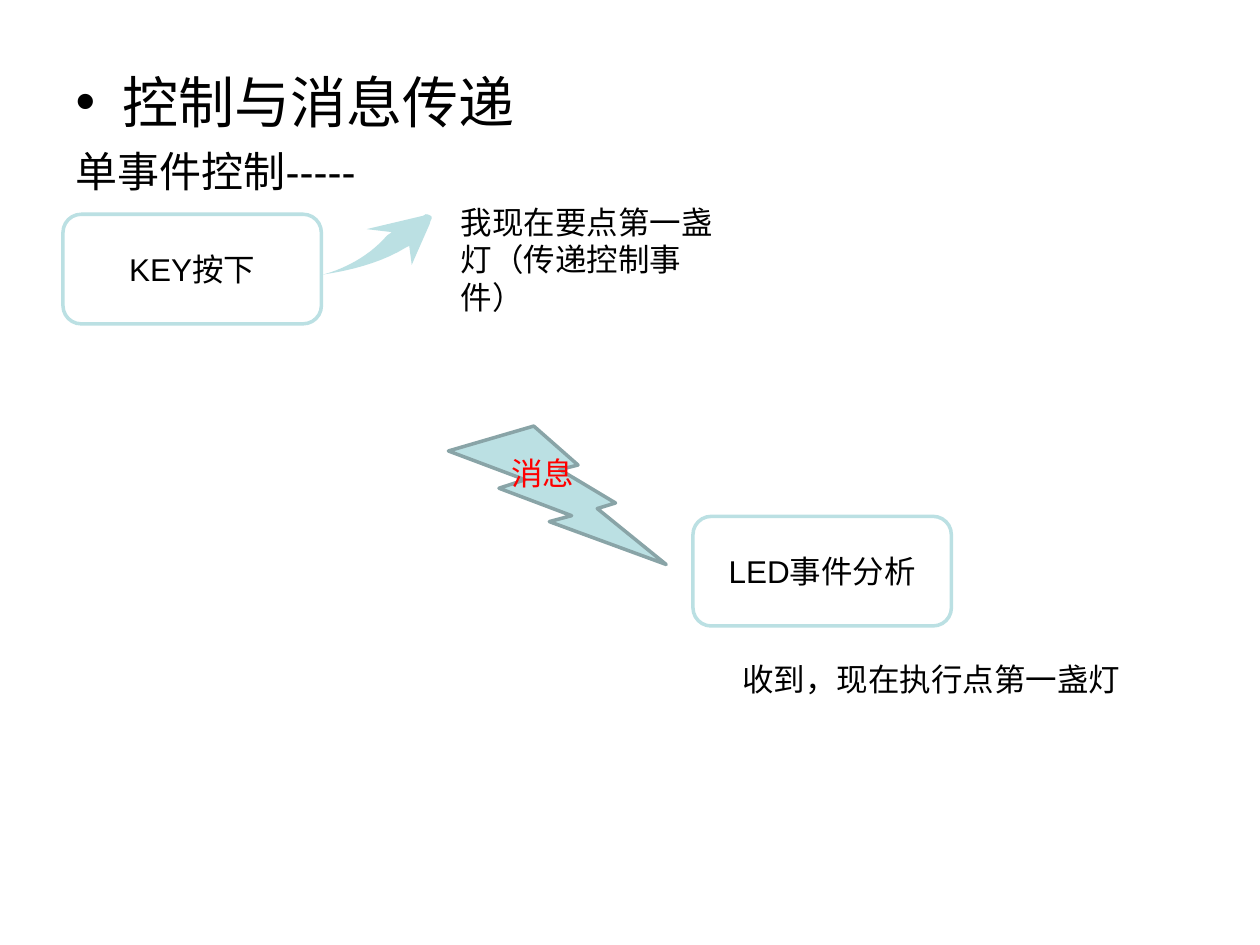
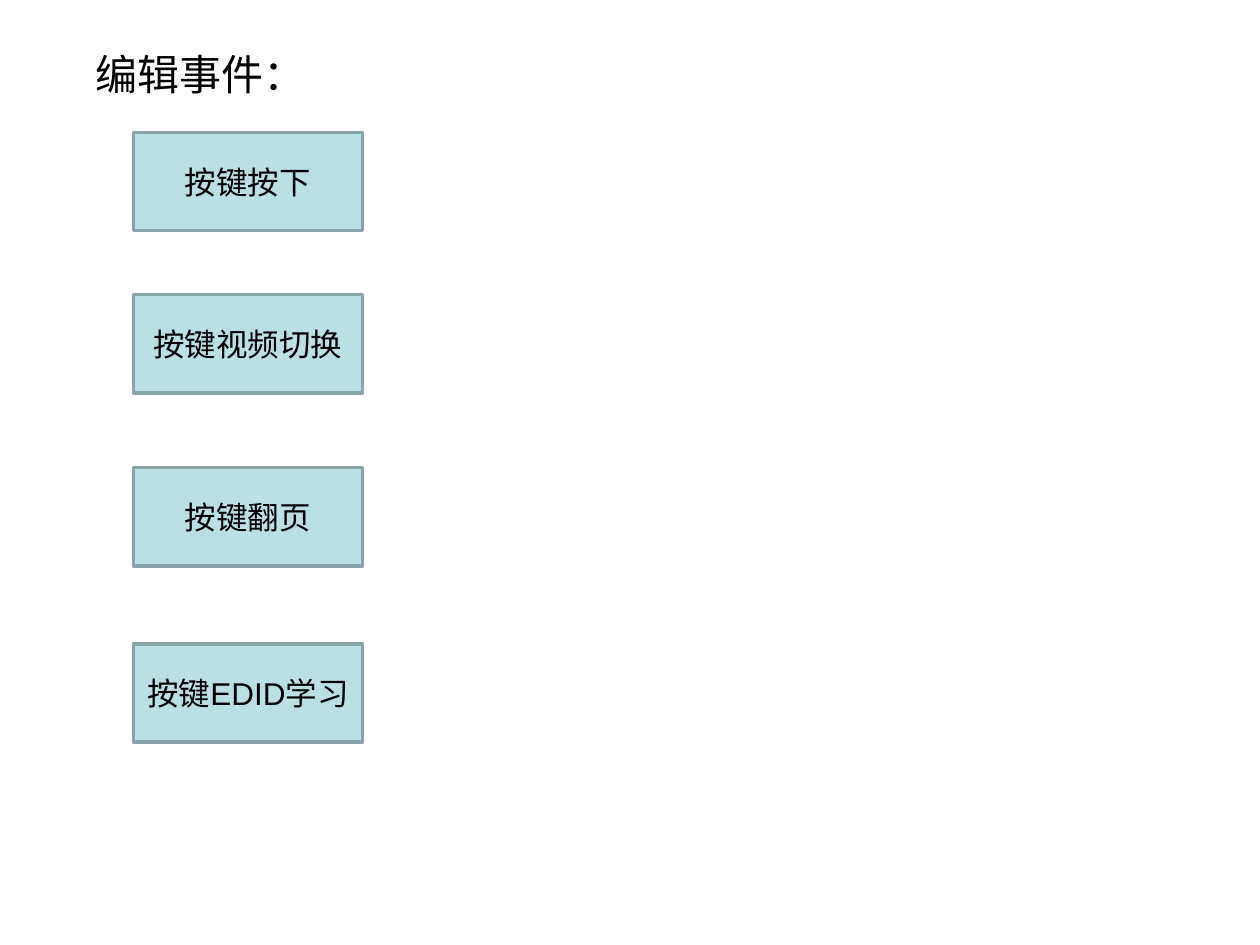
from pptx import Presentation
from pptx.dml.color import RGBColor
from pptx.enum.shapes import MSO_SHAPE
from pptx.enum.text import MSO_ANCHOR, MSO_AUTO_SIZE, PP_ALIGN
from pptx.oxml.ns import qn
from pptx.util import Cm, Pt

COLOURS = {"ink": "000000", "alert": "FF0000", "paper": "FFFFFF",
           "accent": "BBE0E3", "edge": "89A4A7"}
FONT = "Arial"
ROUNDED = MSO_SHAPE.FLOWCHART_ALTERNATE_PROCESS
BOLT = MSO_SHAPE.LIGHTNING_BOLT
RECTANGLE = MSO_SHAPE.RECTANGLE
LEFT, CENTER = PP_ALIGN.LEFT, PP_ALIGN.CENTER
TOP, MIDDLE = MSO_ANCHOR.TOP, MSO_ANCHOR.MIDDLE
GROW, FIXED = MSO_AUTO_SIZE.SHAPE_TO_FIT_TEXT, MSO_AUTO_SIZE.NONE
LAYOUT_CONTENT, LAYOUT_TITLE_ONLY = 1, 5
CURVE_STEPS = 12

STEP_SIZE = (5.21, 2.21)
EVENT_SIZE = (4.62, 1.98)
EVENTS = [(0, "按键按下"), (3.27, "按键视频切换"),
          (6.76, "按键翻页"), (10.31, "按键EDID学习")]
ARROW_START = (2.08, 0)
ARROW_OUTLINE = [
    [(2.13, 0), (2.16, 0.02), (2.18, 0.03)],
    [(2.21, 0.05), (2.21, 0.08), (2.18, 0.13)],
    [(2.16, 0.2)], [(1.9, 0.79)], [(1.8, 1.02)], [(1.75, 0.64)], [(1.7, 0.66)],
    [(1.02, 1.09), (0.13, 1.19), (0, 1.22)],
    [(0.56, 1.07), (1.02, 0.76), (1.3, 0.43)],
    [(1.4, 0.36)], [(0.89, 0.3)], [(2.03, 0.03)],
]


def colour(name):
    """Return the named colour."""
    return RGBColor.from_string(COLOURS[name])


def set_values(target, values):
    """Set each named attribute on the target."""
    for name, value in values.items():
        setattr(target, name, value)


def place(shape, box):
    """Move a shape to a box of left, top, width and height in centimetres."""
    set_values(shape, dict(zip(("left", "top", "width", "height"), map(Cm, box))))


def write(para, text, size=18, ink="ink", align=LEFT):
    """Write one formatted span into a paragraph."""
    para.alignment = align
    span = para.add_run()
    span.text = text
    set_values(span.font, {"name": FONT, "size": Pt(size)})
    span.font.color.rgb = colour(ink)


def add_label(page, box, text, ink="ink", wrap=True):
    """Add a free line of text."""
    label = page.shapes.add_textbox(*map(Cm, box))
    set_values(label.text_frame, {"word_wrap": wrap, "auto_size": GROW})
    write(label.text_frame.paragraphs[0], text, ink=ink)


def add_block(page, kind, box, fill, edge, text=""):
    """Add an outlined shape with optional centred text."""
    block = page.shapes.add_shape(kind, *map(Cm, box))
    block.shadow.inherit = False
    block.fill.solid()
    block.fill.fore_color.rgb = colour(fill)
    block.line.color.rgb = colour(edge)
    block.line.width = Pt(2)
    if text:
        set_values(block.text_frame, {"word_wrap": True, "vertical_anchor": MIDDLE})
        write(block.text_frame.paragraphs[0], text, align=CENTER)


def curve_points(start, first, second, end):
    """Return points along a cubic curve."""
    points = []
    for step in range(1, CURVE_STEPS + 1):
        t = step / CURVE_STEPS
        weights = ((1 - t) ** 3, 3 * t * (1 - t) ** 2, 3 * t * t * (1 - t), t ** 3)
        points.append(tuple(sum(w * v for w, v in zip(weights, axis))
                            for axis in zip(start, first, second, end)))
    return points


def add_swoosh_arrow(page, left, top):
    """Add the curved arrow with its corner at the given point."""
    points = [ARROW_START]
    for piece in ARROW_OUTLINE:
        points += curve_points(points[-1], *piece) if len(piece) == 3 else piece
    corners = [(Cm(left + x), Cm(top + y)) for x, y in points]
    builder = page.shapes.build_freeform(*corners[0])
    builder.add_line_segments(corners[1:], close=True)
    arrow = builder.convert_to_shape()
    arrow.shadow.inherit = False
    arrow.fill.solid()
    arrow.fill.fore_color.rgb = colour("accent")
    arrow.line.fill.background()


def fill_topic(body, box):
    """Fill the list placeholder with the topic and its subtopic."""
    place(body, box)
    frame = body.text_frame
    set_values(frame, {"auto_size": FIXED, "vertical_anchor": TOP})
    topic, subtopic = frame.paragraphs[0], frame.add_paragraph()
    topic.space_before = Pt(0)
    write(topic, "控制与消息传递", 32)
    properties = subtopic._p.get_or_add_pPr()
    properties.append(properties.makeelement(qn("a:buNone"), {}))
    subtopic.space_before = Pt(6)
    write(subtopic, "单事件控制-----", 24)


def add_sender(page, left, top):
    """Add the pressed key, its arrow and its message."""
    add_block(page, ROUNDED, (left, top, *STEP_SIZE), "paper", "accent", "KEY按下")
    add_swoosh_arrow(page, left + 5.23, top)
    add_label(page, (left + 7.77, top - 0.36, 6.07, 2.54),
              "我现在要点第一盏灯（传递控制事件）")


def add_message(page, left, top):
    """Add the lightning bolt that carries the message."""
    add_block(page, BOLT, (left, top, 4.39, 2.79), "accent", "edge")
    add_label(page, (left + 1.02, top + 0.43, 1.78, 1.02), "消息", "alert", False)


def add_receiver(page, left, top):
    """Add the event analysis and its reply."""
    add_block(page, ROUNDED, (left, top, *STEP_SIZE), "paper", "accent", "LED事件分析")
    add_label(page, (left + 0.74, top + 2.77, 8.18, 1.02), "收到，现在执行点第一盏灯")


def add_event_column(page, left, top):
    """Add the column of editable events."""
    for offset, text in EVENTS:
        add_block(page, RECTANGLE, (left, top + offset, *EVENT_SIZE),
                  "accent", "edge", text)


def build_control_page(deck):
    """Build the page on control and message passing."""
    page = deck.slides.add_slide(deck.slide_layouts[LAYOUT_CONTENT])
    title = page.shapes.title
    title.element.getparent().remove(title.element)
    fill_topic(page.placeholders[1], (1.27, 1.24, 22.86, 15.77))
    add_sender(page, 1.27, 4.32)
    add_receiver(page, 13.97, 10.41)
    add_message(page, 9.04, 8.59)


def build_events_page(deck):
    """Build the page on editing events."""
    page = deck.slides.add_slide(deck.slide_layouts[LAYOUT_TITLE_ONLY])
    title = page.shapes.title
    place(title, (1.68, 0.86, 6.43, 1.27))
    set_values(title.text_frame, {"word_wrap": True, "auto_size": GROW,
                                  "vertical_anchor": TOP})
    write(title.text_frame.paragraphs[0], "编辑事件：", 24)
    add_event_column(page, 2.69, 2.67)


def main():
    """Build and save the deck."""
    deck = Presentation()
    set_values(deck, {"slide_width": Cm(25.4), "slide_height": Cm(19.05)})
    build_control_page(deck)
    build_events_page(deck)
    deck.save("out.pptx")


if __name__ == "__main__":
    main()
